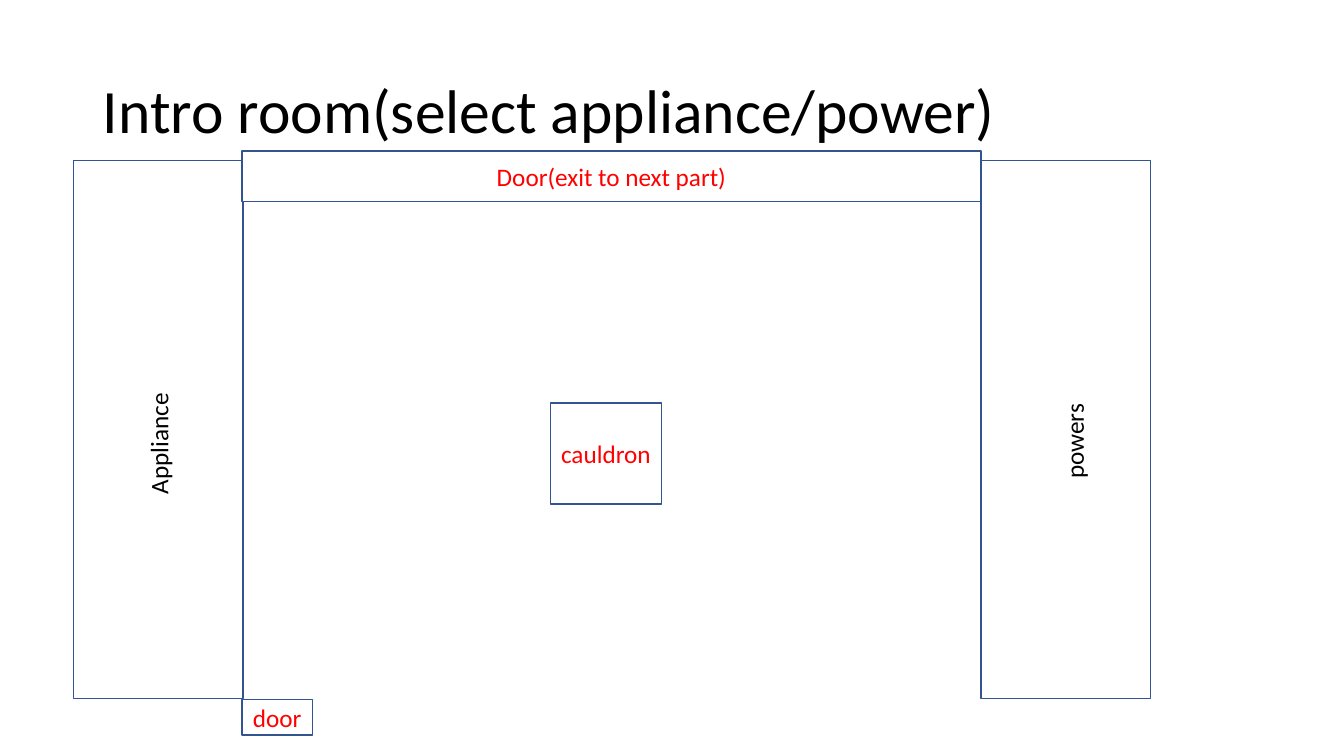
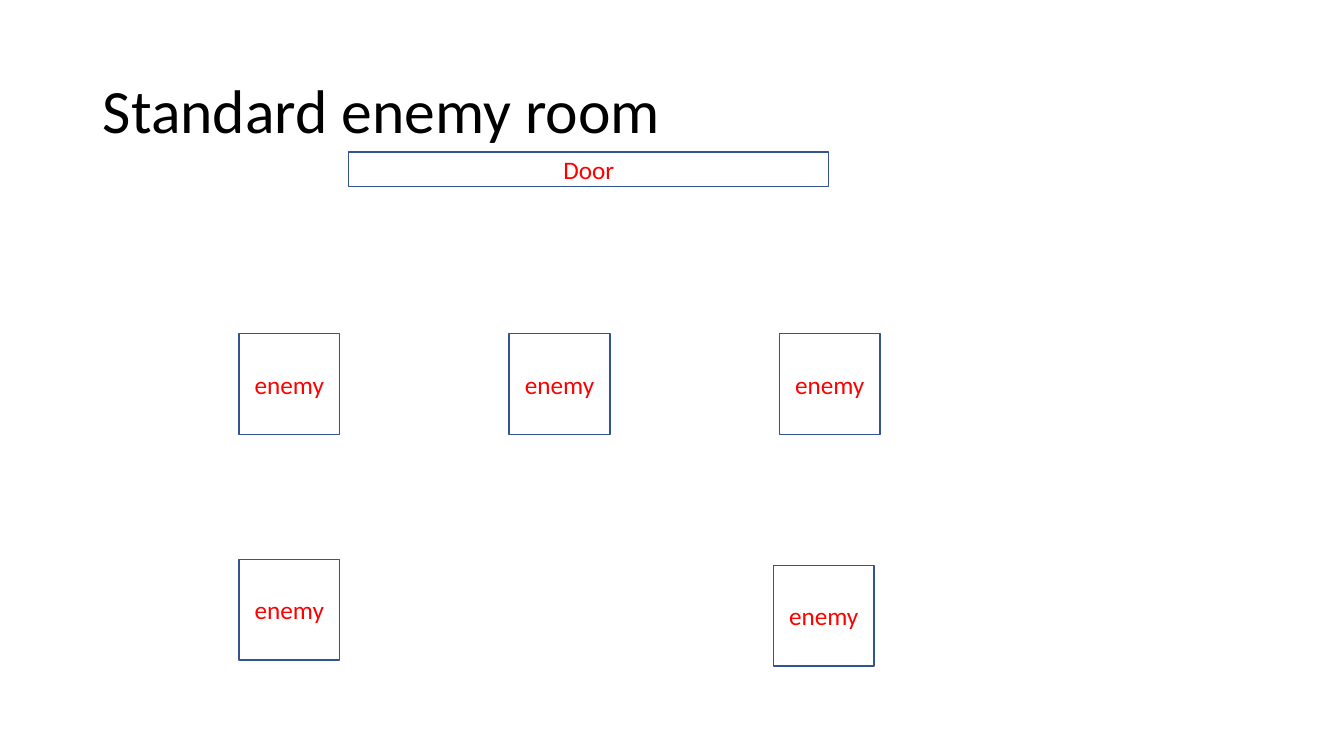
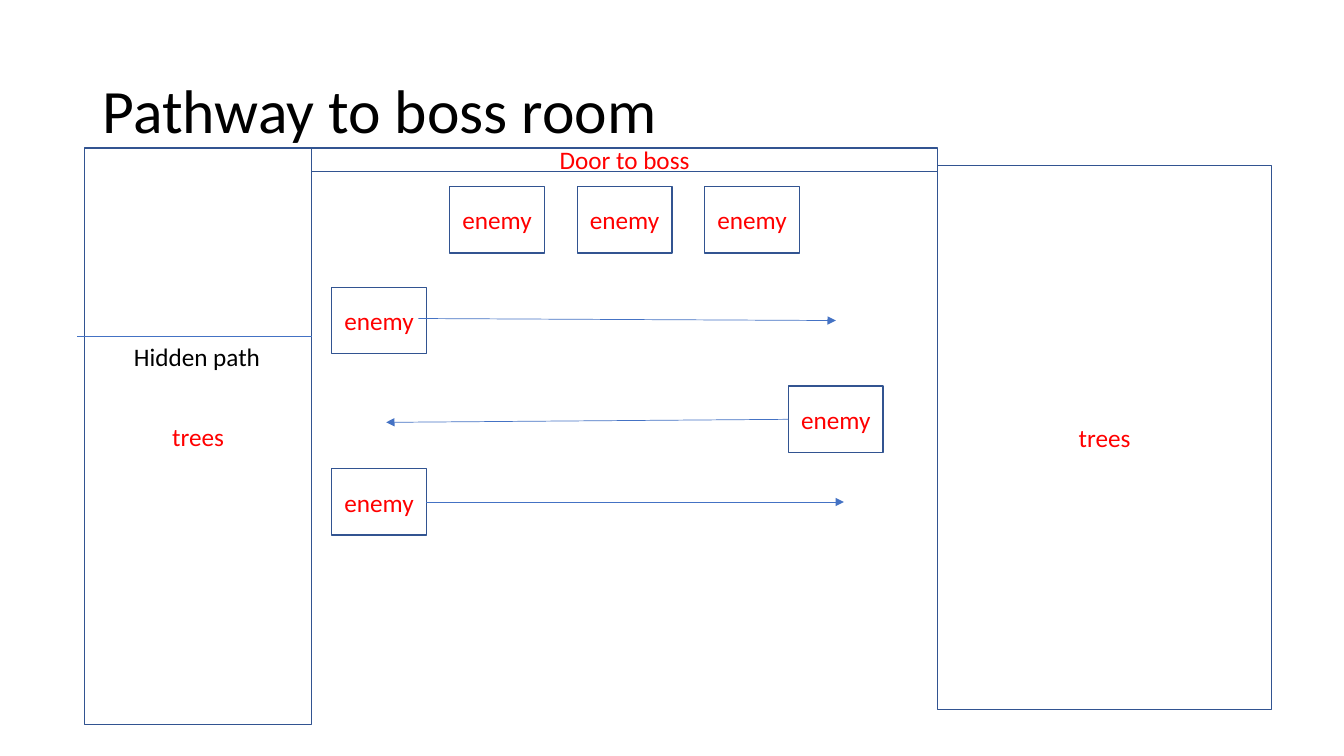
from lxml import etree
from pptx import Presentation
from pptx.dml.color import RGBColor
from pptx.enum.shapes import MSO_CONNECTOR, MSO_SHAPE
from pptx.enum.text import MSO_ANCHOR, MSO_AUTO_SIZE, PP_ALIGN
from pptx.oxml.ns import qn
from pptx.util import Inches, Pt

RECTANGLE = MSO_SHAPE.RECTANGLE
STRAIGHT = MSO_CONNECTOR.STRAIGHT
LEFT, CENTER = PP_ALIGN.LEFT, PP_ALIGN.CENTER
TOP, MIDDLE = MSO_ANCHOR.TOP, MSO_ANCHOR.MIDDLE
GROW = MSO_AUTO_SIZE.SHAPE_TO_FIT_TEXT

FONT = "Calibri"
COLORS = {
    "paper": "FFFFFF",
    "text": "000000",
    "label": "FF0000",
    "outline": "325491",
    "path": "4472C4",
}


def write(shape, text, size=18, color="text", align=LEFT, anchor=TOP, wrap=True, spacing=None):
    frame = shape.text_frame
    frame.word_wrap = wrap
    frame.vertical_anchor = anchor
    paragraph = frame.paragraphs[0]
    paragraph.alignment = align
    paragraph.line_spacing = spacing
    run = paragraph.add_run()
    run.text = text
    run.font.name = FONT
    run.font.size = Pt(size)
    run.font.color.rgb = RGBColor.from_string(COLORS[color])


def add_box(slide, left, top, width, height, text=""):
    shape = slide.shapes.add_shape(
        RECTANGLE, Inches(left), Inches(top), Inches(width), Inches(height))
    shape.shadow.inherit = False
    shape.fill.solid()
    shape.fill.fore_color.rgb = RGBColor.from_string(COLORS["paper"])
    shape.line.color.rgb = RGBColor.from_string(COLORS["outline"])
    shape.line.width = Pt(1)
    if text:
        write(shape, text, color="label", align=CENTER, anchor=MIDDLE)


presentation = Presentation()
presentation.slide_width = Inches(13.33)
presentation.slide_height = Inches(7.5)

# Slides with their titles
slides = []
for heading in ("Intro room(select appliance/power)", "Standard enemy room",
                "Pathway to boss room"):
    slide = presentation.slides.add_slide(presentation.slide_layouts[5])
    title = slide.shapes.title
    title.left, title.top = Inches(0.92), Inches(0.4)
    title.width, title.height = Inches(11.5), Inches(1.45)
    write(title, heading, size=44, anchor=MIDDLE, spacing=0.9)
    slides.append(slide)
intro, enemy_room, pathway = slides

# Intro room: side walls, doors and cauldron
for wall_left in (0.73, 9.73):
    add_box(intro, wall_left, 1.59, 1.68, 5.34)
add_box(intro, 2.4, 1.5, 7.33, 0.5, "Door(exit to next part)")
add_box(intro, 2.4, 6.94, 0.7, 0.35, "door")
add_box(intro, 5.46, 4, 1.1, 1, "cauldron")

# Enemy room: door, row of three enemies, two more below
add_box(enemy_room, 3.46, 1.51, 4.76, 0.34, "Door")
back_row = [(2.37 + 2.68 * column, 3.31) for column in range(3)]
for left, top in back_row + [(2.37, 5.55), (7.67, 5.61)]:
    add_box(enemy_room, left, top, 1, 1, "enemy")

# Pathway: trees, door, three guards and three patrols
add_box(pathway, 0.84, 1.47, 2.25, 5.72, "trees")
add_box(pathway, 9.3, 1.64, 3.31, 5.4, "trees")
add_box(pathway, 3.09, 1.47, 6.21, 0.23, "Door to boss")
guards = [(4.46 + 1.265 * column, 1.85) for column in range(3)]
patrols = [(3.29, 2.85), (7.82, 3.83), (3.29, 4.65)]
for left, top in guards + patrols:
    add_box(pathway, left, top, 0.94, 0.66, "enemy")

# Pathway: hidden path and patrol arrows
for start_x, start_y, end_x, end_y, has_arrow in (
    (3.09, 3.34, 0.76, 3.34, False),
    (4.15, 3.16, 8.29, 3.18, True),
    (7.82, 4.16, 3.83, 4.19, True),
    (4.23, 4.98, 8.37, 4.98, True),
):
    connector = pathway.shapes.add_connector(
        STRAIGHT, Inches(start_x), Inches(start_y), Inches(end_x), Inches(end_y))
    connector.line.color.rgb = RGBColor.from_string(COLORS["path"])
    connector.line.width = Pt(0.5)
    if has_arrow:
        etree.SubElement(connector.line._get_or_add_ln(), qn("a:tailEnd"), type="triangle")
    etree.SubElement(connector._element.spPr, qn("a:effectLst"))

# Labels without a frame
for slide, text, left, top, width, rotation in (
    (intro, "Appliance", 0.92, 4.15, 1.3, 270),
    (intro, "powers", 10.15, 4.15, 1, 270),
    (pathway, "Hidden path", 1.23, 3.34, 1.47, 0),
):
    label = slide.shapes.add_textbox(Inches(left), Inches(top), Inches(width), Inches(0.4))
    label.rotation = rotation
    label.text_frame.auto_size = GROW
    write(label, text, wrap=rotation != 0)

presentation.save("out.pptx")
